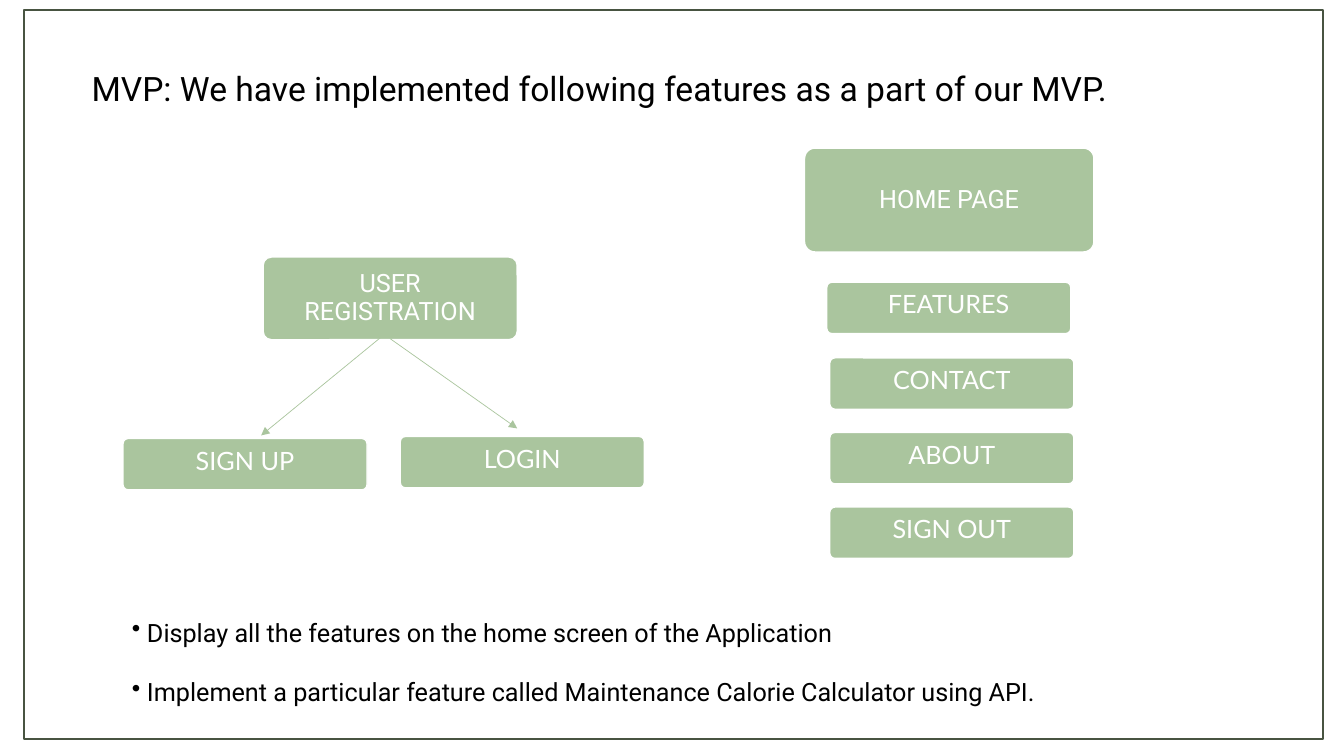
from pptx import Presentation
from pptx.dml.color import RGBColor
from pptx.enum.shapes import MSO_CONNECTOR, MSO_SHAPE
from pptx.enum.text import MSO_ANCHOR, PP_ALIGN
from pptx.oxml.ns import qn
from pptx.util import Pt
from lxml.etree import SubElement

PX = 9144
WHITE = RGBColor(0xFF, 0xFF, 0xFF)
BLACK = RGBColor(0x00, 0x00, 0x00)
GREEN = RGBColor(0xAA, 0xC5, 0x9E)
OLIVE = RGBColor(0x48, 0x54, 0x41)


class Board:
    """Draws styled elements on one slide, with lengths in px of 1/100 inch."""

    def __init__(self, slide):
        self.shapes = slide.shapes

    def scale(self, *sizes):
        return [size * PX for size in sizes]

    def font(self, para, size, color, name):
        para.font.size = Pt(size)
        para.font.color.rgb = color
        para.font.name = name

    def frame(self, *box):
        shape = self.shapes.add_shape(MSO_SHAPE.RECTANGLE, *self.scale(*box))
        shape.shadow.inherit = False
        shape.fill.background()
        shape.line.color.rgb = OLIVE
        shape.line.width = Pt(1.5)

    def card(self, text, box, name="Lato", anchor=MSO_ANCHOR.TOP, inset=10, lead=1.0):
        shape = self.shapes.add_shape(MSO_SHAPE.ROUNDED_RECTANGLE, *self.scale(*box))
        shape.adjustments[0] = 0.1
        shape.shadow.inherit = False
        shape.fill.solid()
        shape.fill.fore_color.rgb = GREEN
        shape.line.color.rgb = WHITE
        shape.line.width = Pt(1)
        frame = shape.text_frame
        frame.word_wrap = True
        frame.vertical_anchor = anchor
        frame.margin_left = frame.margin_right = inset * PX
        para = frame.paragraphs[0]
        para.text = text
        para.alignment = PP_ALIGN.CENTER
        para.line_spacing = lead
        self.font(para, 18, WHITE, name)

    def head(self, text, *box):
        self.card(text, box, "Roboto", MSO_ANCHOR.MIDDLE, 20, 0.9)

    def button(self, text, left, top):
        self.card(text, (left, top, 242, 51))

    def arrow(self, *ends):
        link = self.shapes.add_connector(MSO_CONNECTOR.STRAIGHT, *self.scale(*ends))
        link.line.color.rgb = GREEN
        link.line.width = Pt(0.5)
        SubElement(link.line._get_or_add_ln(), qn("a:tailEnd"), type="triangle")
        SubElement(link._element.spPr, qn("a:effectLst"))

    def text(self, lines, box, size, gap=0, dent=0):
        frame = self.shapes.add_textbox(*self.scale(*box)).text_frame
        frame.word_wrap = True
        for index, line in enumerate(lines):
            para = frame.add_paragraph() if index else frame.paragraphs[0]
            para.text = line
            if index:
                para.space_before = Pt(gap)
            if dent:
                props = para._p.get_or_add_pPr()
                props.set("marL", str(dent * PX))
                props.set("indent", str(-dent * PX))
                SubElement(props, qn("a:buChar"), char="•")
            self.font(para, size, BLACK, "Roboto")


def main():
    deck = Presentation()
    deck.slide_width, deck.slide_height = 1333 * PX, 750 * PX
    board = Board(deck.slides.add_slide(deck.slide_layouts[6]))

    board.frame(24, 10, 1288, 723)
    title = "MVP: We have implemented following features as a part of our\u00a0MVP."
    board.text([title.replace("\u00a0", " ")], (81, 62, 1079, 50), 24)

    board.head("USER REGISTRATION", 261, 255, 252, 82)
    board.button("SIGN UP", 122, 435)
    board.button("LOGIN", 397, 433)
    board.arrow(381, 332, 259, 432)
    board.arrow(387, 336, 513, 425)

    board.head("HOME PAGE", 798, 147, 287, 103)
    board.button("FEATURES", 820, 280)
    for row, label in enumerate(("CONTACT", "ABOUT", "SIGN OUT")):
        board.button(label, 823, 355 + 74 * row)

    notes = (
        "Display all the features on the home screen of the Application",
        "Implement a particular feature called Maintenance Calorie Calculator using API.",
    )
    board.text(notes, (121, 607, 983, 101), 18, gap=21, dent=15)
    deck.save("out.pptx")


if __name__ == "__main__":
    main()
